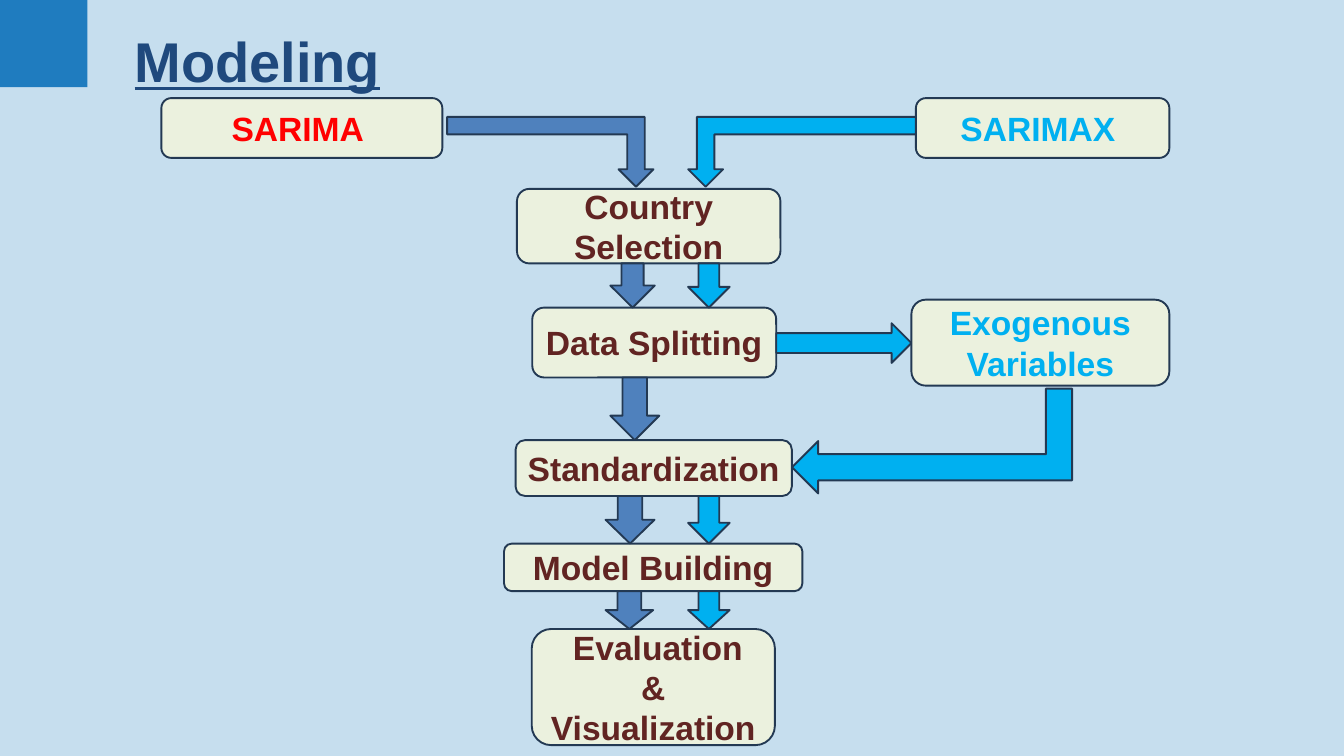
from dataclasses import dataclass
from itertools import pairwise

from lxml.etree import SubElement
from pptx import Presentation
from pptx.dml.color import RGBColor
from pptx.enum.shapes import MSO_SHAPE
from pptx.enum.text import MSO_ANCHOR, MSO_AUTO_SIZE, PP_ALIGN
from pptx.oxml.ns import qn
from pptx.util import Cm, Pt


@dataclass(frozen=True)
class Theme:
    """Colours, font and type sizes of the deck."""
    accent: str = "1F7CBF"
    title: str = "1F497D"
    node: str = "EBF1DE"
    outline: str = "233953"
    step: str = "612422"
    sarima: str = "FF0000"
    sarima_arrow: str = "4F81BD"
    sarimax: str = "00B0F0"
    font: str = "Arial"
    title_size: int = 60
    node_size: int = 36
    line_width: int = 2


@dataclass(frozen=True)
class Box:
    """A rectangle in centimetres."""
    left: float
    top: float
    width: float
    height: float

    @property
    def right(self):
        """Return the right edge."""
        return self.left + self.width

    @property
    def bottom(self):
        """Return the lower edge."""
        return self.top + self.height

    def inner(self, left, top, width, height):
        """Return a box placed relative to this one."""
        return Box(self.left + left, self.top + top, width, height)

    def lengths(self):
        """Return the four lengths for python-pptx."""
        return [Cm(n) for n in (self.left, self.top, self.width, self.height)]


THEME = Theme()


def add_figure(page, kind, box, fill, outline=None):
    """Add a filled preset shape without shadow."""
    figure = page.shapes.add_shape(kind, *box.lengths())
    figure.shadow.inherit = False
    figure.fill.solid()
    figure.fill.fore_color.rgb = RGBColor.from_string(fill)
    if outline:
        figure.line.color.rgb = RGBColor.from_string(outline)
        figure.line.width = Pt(THEME.line_width)
    else:
        figure.line.fill.background()
    return figure


def add_span(para, text, size, color):
    """Add a bold run to a paragraph."""
    span = para.add_run()
    span.text = text
    span.font.name = THEME.font
    span.font.size = Pt(size)
    span.font.bold = True
    span.font.color.rgb = RGBColor.from_string(color)
    return span


def add_node(page, box, lines, color):
    """Add a rounded box with centred lines."""
    node = add_figure(page, MSO_SHAPE.ROUNDED_RECTANGLE, box, THEME.node, THEME.outline)
    frame = node.text_frame
    frame.word_wrap = True
    frame.vertical_anchor = MSO_ANCHOR.MIDDLE
    for index, line in enumerate(lines):
        para = frame.add_paragraph() if index else frame.paragraphs[0]
        para.alignment = PP_ALIGN.CENTER
        add_span(para, line, THEME.node_size, color)


def add_arrow(page, kind, box, color, rotation=0, flipped=False):
    """Add an outlined block arrow, turned or mirrored if asked."""
    arrow = add_figure(page, kind, box, color, THEME.outline)
    arrow.rotation = rotation
    if flipped:
        arrow.element.spPr.get_or_add_xfrm().set("flipH", "1")


def add_backdrop(page, box):
    """Tint the page and mark its upper left corner."""
    tint = add_figure(page, MSO_SHAPE.RECTANGLE, box, THEME.accent)
    color = tint.element.spPr.find(f"{qn('a:solidFill')}/{qn('a:srgbClr')}")
    SubElement(color, qn("a:alpha")).set("val", "25000")
    add_figure(page, MSO_SHAPE.RECTANGLE, box.inner(0, 0, 3.3, 3.3), THEME.accent)


def add_title(page, box):
    """Place the title placeholder above the backdrop."""
    title = page.shapes.title
    page.shapes.element.append(title.element)
    title.left, title.top, title.width, title.height = box.lengths()
    frame = title.text_frame
    frame.auto_size = MSO_AUTO_SIZE.NONE
    frame.vertical_anchor = MSO_ANCHOR.TOP
    para = frame.paragraphs[0]
    para.alignment = PP_ALIGN.LEFT
    add_span(para, "Modeling", THEME.title_size, THEME.title).font.underline = True


def add_models(page, box):
    """Add the two models and the bent arrows leading to the first step."""
    add_node(page, box.inner(0, 0, 10.62, box.height), ["SARIMA "], THEME.sarima)
    add_node(page, box.inner(box.width - 9.58, 0, 9.58, box.height), ["SARIMAX "], THEME.sarimax)
    bent = MSO_SHAPE.BENT_UP_ARROW
    add_arrow(page, bent, box.inner(19.91, 0.71, 8.61, 2.64), THEME.sarimax, 180)
    add_arrow(page, bent, box.inner(10.8, 0.71, 7.8, 2.64), THEME.sarima_arrow, 180, True)


def add_steps(page, box):
    """Add the column of steps with arrows filling the gaps between them."""
    steps = [
        (box.inner(0.49, 0, 9.96, 2.82), ["Country Selection"]),
        (box.inner(1.07, 4.49, 9.22, 2.64), ["Data Splitting"]),
        (box.inner(0.44, 9.5, 10.44, 2.11), ["Standardization"]),
        (box.inner(0, 13.41, 11.28, 1.8), ["Model Building"]),
        (box.inner(1.05, 16.64, 9.19, 4.39), [" Evaluation", "&", "Visualization"]),
    ]
    for place, lines in steps:
        add_node(page, place, lines, THEME.step)
    sarima_arrows = [(4.02, 1.68), (4.02, 1.85), (3.84, 1.85), (3.84, 1.8)]
    sarimax_arrows = [(6.96, 1.57), None, (6.96, 1.57), (6.96, 1.57)]
    for color, arrows in ((THEME.sarima_arrow, sarima_arrows), (THEME.sarimax, sarimax_arrows)):
        for ((upper, _), (lower, _)), arrow in zip(pairwise(steps), arrows):
            if arrow:
                left, width = arrow
                gap = Box(box.left + left, upper.bottom, width, lower.top - upper.bottom)
                add_arrow(page, MSO_SHAPE.DOWN_ARROW, gap, color)


def add_exogenous(page, box):
    """Add the side branch that leaves and rejoins the column of steps."""
    add_arrow(page, MSO_SHAPE.RIGHT_ARROW, box.inner(0, 0.89, 5.11, 1.5), THEME.sarimax)
    add_node(page, box.inner(5.11, 0, 9.75, 3.25), ["Exogenous Variables"], THEME.sarimax)
    add_arrow(page, MSO_SHAPE.BENT_UP_ARROW, box.inner(3.91, 0.05, 3.96, 10.59),
              THEME.sarimax, 270, True)


def main():
    """Build and save the deck."""
    deck = Presentation()
    whole = Box(0, 0, 50.8, 28.58)
    deck.slide_width, deck.slide_height = Cm(whole.width), Cm(whole.height)
    page = deck.slides.add_slide(deck.slide_layouts[5])
    add_backdrop(page, whole)
    add_title(page, Box(4.83, 0.89, 12.32, 2.82))
    add_models(page, Box(6.1, 3.71, 38.1, 2.26))
    add_steps(page, Box(19.05, 7.14, 11.28, 21.03))
    add_exogenous(page, Box(29.34, 11.33, 14.86, 3.25))
    deck.save("out.pptx")


if __name__ == "__main__":
    main()
